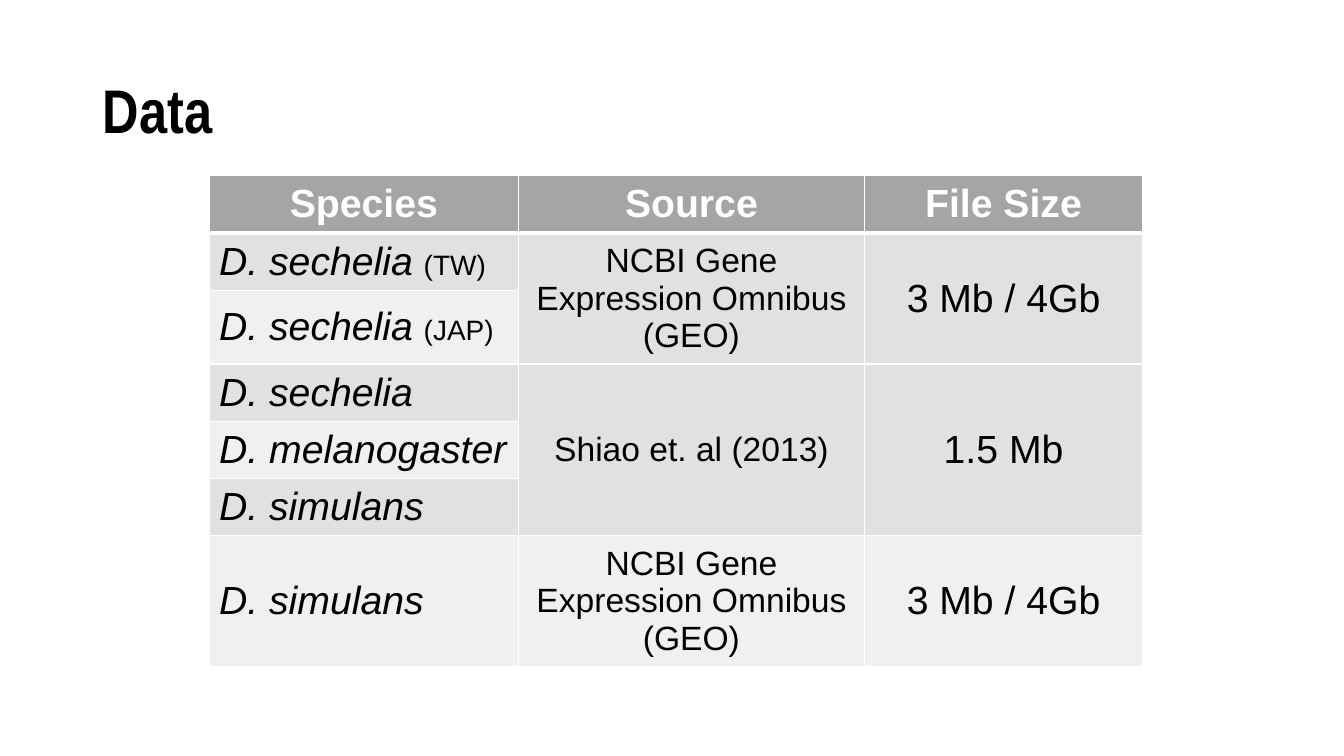
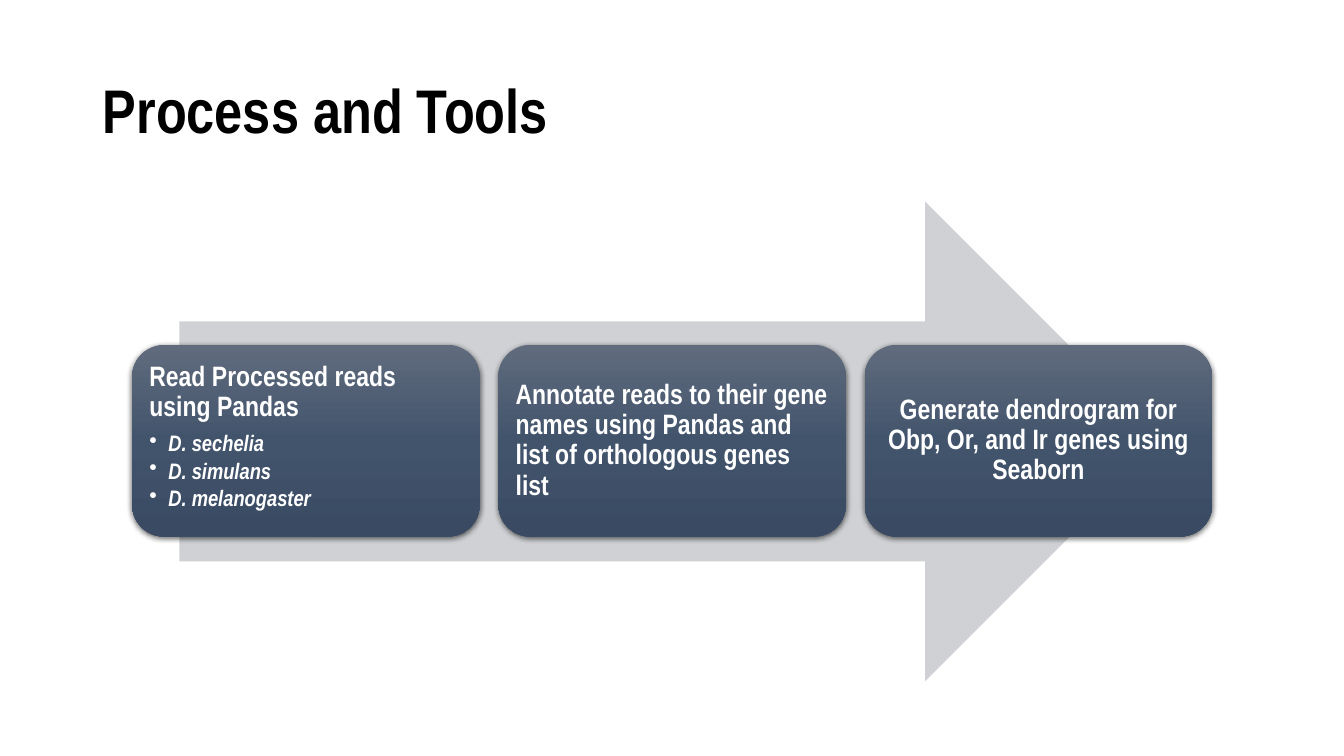
from dataclasses import dataclass
from typing import Optional

from lxml import etree
from pptx import Presentation
from pptx.dml.color import RGBColor
from pptx.enum.shapes import MSO_SHAPE
from pptx.enum.text import MSO_ANCHOR, PP_ALIGN
from pptx.oxml.ns import qn
from pptx.util import Cm, Pt

LEFT, CENTER = PP_ALIGN.LEFT, PP_ALIGN.CENTER
TOP, MIDDLE = MSO_ANCHOR.TOP, MSO_ANCHOR.MIDDLE
ARROW, ROUND_RECT = MSO_SHAPE.RIGHT_ARROW, MSO_SHAPE.ROUNDED_RECTANGLE

COLORS = {
    "text": "000000",
    "white": "FFFFFF",
    "header": "A5A5A5",
    "band_dark": "E1E1E1",
    "band_light": "F0F0F0",
    "arrow": "CFD1D4",
    "step_top": "606B7D",
    "step_mid": "42546C",
    "step_bottom": "394A62",
}
BODY_FONT = "Arial"
NARROW_FONT = "Arial Narrow"

COL_WIDTHS = (7.8, 8.71, 7.02)
ROW_HEIGHTS = (1.36, 1.36, 1.74, 1.36, 1.36, 1.36, 3.09)
STEP_LEFT, STEP_TOP, STEP_W, STEP_H, STEP_GAP = 3.33, 8.69, 8.76, 4.83, 0.47


@dataclass
class DataRow:
    species: str
    note: str = ""
    source: str = ""
    size: str = ""
    span: int = 1


@dataclass
class Step:
    text: str
    items: tuple[str, ...] = ()
    align: PP_ALIGN = LEFT
    anchor: MSO_ANCHOR = MIDDLE


HEADERS = ("Species", "Source", "File Size")
GEO = "NCBI Gene Expression Omnibus (GEO)"
ROWS = (
    DataRow("D. sechelia ", "(TW)", GEO, "3 Mb / 4Gb", 2),
    DataRow("D. sechelia ", "(JAP)"),
    DataRow("D. sechelia", "", "Shiao et. al (2013)", "1.5 Mb", 3),
    DataRow("D. melanogaster"),
    DataRow("D. simulans"),
    DataRow("D. simulans", "", GEO, "3 Mb / 4Gb"),
)
STEPS = (
    Step("Read Processed reads using Pandas",
         ("D. sechelia", "D. simulans", "D. melanogaster"), anchor=TOP),
    Step("Annotate reads to their gene names using Pandas and "
         "list of orthologous genes list"),
    Step("Generate dendrogram for Obp, Or, and Ir genes using Seaborn",
         align=CENTER),
)


def rgb(name: str) -> RGBColor:
    return RGBColor.from_string(COLORS[name])


def add_text(p, text: str, *, size: float, font: str = BODY_FONT,
             color: str = "text", bold: bool = False, italic: bool = False,
             align: PP_ALIGN = LEFT, line: Optional[float] = None,
             after: Optional[float] = None) -> None:
    p.alignment = align
    if line is not None:
        p.line_spacing = line
    if after is not None:
        p.space_after = Pt(after)
    r = p.add_run()
    r.text = text
    r.font.name, r.font.size = font, Pt(size)
    r.font.bold, r.font.italic = bold, italic
    r.font.color.rgb = rgb(color)


def add_bullet(p, indent: float) -> None:
    p.level = 1
    pPr = p._p.get_or_add_pPr()
    pPr.set("marL", str(Cm(indent)))
    pPr.set("indent", str(-Cm(indent)))
    etree.SubElement(pPr, qn("a:buChar"), char="•")


def add_color(parent, name: str):
    return etree.SubElement(parent, qn("a:srgbClr"), val=COLORS[name])


def add_slide(prs, title: str):
    s = prs.slides.add_slide(prs.slide_layouts[6])
    tf = s.shapes.add_textbox(Cm(2.34), Cm(1.02), Cm(29.21), Cm(3.68)).text_frame
    tf.word_wrap = True
    tf.vertical_anchor = MIDDLE
    add_text(tf.paragraphs[0], title, size=44, font=NARROW_FONT, bold=True, line=0.9)
    return s


def style_cell(cell, fill: str, bottom: float = 1, top: float = 1) -> None:
    cell.fill.solid()
    cell.fill.fore_color.rgb = rgb(fill)
    cell.vertical_anchor = MIDDLE
    tcPr = cell._tc.get_or_add_tcPr()
    widths = {"a:lnL": 1, "a:lnR": 1, "a:lnT": top, "a:lnB": bottom}
    for i, (tag, width) in enumerate(widths.items()):
        ln = etree.Element(qn(tag), w=str(Pt(width)))
        add_color(etree.SubElement(ln, qn("a:solidFill")), "white")
        tcPr.insert(i, ln)


def add_data_table(s) -> None:
    table = s.shapes.add_table(
        len(ROW_HEIGHTS), len(COL_WIDTHS), Cm(5.27), Cm(4.43),
        Cm(sum(COL_WIDTHS)), Cm(sum(ROW_HEIGHTS))).table
    table.horz_banding = False
    for col, width in zip(table.columns, COL_WIDTHS):
        col.width = Cm(width)
    for row, height in zip(table.rows, ROW_HEIGHTS):
        row.height = Cm(height)

    for c, header in enumerate(HEADERS):
        cell = table.cell(0, c)
        style_cell(cell, "header", bottom=3)
        add_text(cell.text_frame.paragraphs[0], header, size=28,
                 color="white", bold=True, align=CENTER)

    for i, row in enumerate(ROWS, 1):
        fill = "band_dark" if i % 2 else "band_light"
        for c in range(len(HEADERS)):
            style_cell(table.cell(i, c), fill, top=3 if i == 1 else 1)
        p = table.cell(i, 0).text_frame.paragraphs[0]
        add_text(p, row.species, size=28, italic=True)
        if row.note:
            add_text(p, row.note, size=20)
        for c, text, size in ((1, row.source, 24), (2, row.size, 28)):
            if not text:
                continue
            cell = table.cell(i, c)
            if row.span > 1:
                cell.merge(table.cell(i + row.span - 1, c))
            add_text(cell.text_frame.paragraphs[0], text, size=size, align=CENTER)


def add_shape(s, kind: MSO_SHAPE, x: float, y: float, w: float, h: float):
    sp = s.shapes.add_shape(kind, Cm(x), Cm(y), Cm(w), Cm(h))
    sp.shadow.inherit = False
    sp.line.fill.background()
    return sp


def shade_step(sp) -> None:
    sp.fill.gradient()
    sp.fill.gradient_angle = 270
    spPr = sp._element.spPr
    stops = spPr.find(qn("a:gradFill")).find(qn("a:gsLst"))
    for stop in list(stops):
        stops.remove(stop)
    for pos, name in ((0, "step_top"), (50, "step_mid"), (100, "step_bottom")):
        add_color(etree.SubElement(stops, qn("a:gs"), pos=str(pos * 1000)), name)
    shadow = etree.SubElement(
        spPr.find(qn("a:effectLst")), qn("a:outerShdw"), blurRad=str(Pt(4.5)),
        dist=str(Pt(1.5)), dir="5400000", algn="ctr", rotWithShape="0")
    etree.SubElement(add_color(shadow, "text"), qn("a:alpha"), val="63000")


def add_step(s, step: Step, x: float) -> None:
    sp = add_shape(s, ROUND_RECT, x, STEP_TOP, STEP_W, STEP_H)
    shade_step(sp)
    tf = sp.text_frame
    tf.word_wrap = True
    tf.vertical_anchor = step.anchor
    tf.margin_left = tf.margin_right = tf.margin_top = tf.margin_bottom = Cm(0.2)
    add_text(tf.paragraphs[0], step.text, size=20, font=NARROW_FONT, color="white",
             bold=True, align=step.align, line=0.9, after=7)
    for item in step.items:
        p = tf.add_paragraph()
        add_text(p, item, size=16, font=NARROW_FONT, color="white",
                 bold=True, italic=True, line=0.9, after=2.4)
        add_bullet(p, 0.48)


def add_process(s) -> None:
    arrow = add_shape(s, ARROW, 4.52, 5.08, 24.84, 12.09)
    arrow.fill.solid()
    arrow.fill.fore_color.rgb = rgb("arrow")
    for i, step in enumerate(STEPS):
        add_step(s, step, STEP_LEFT + i * (STEP_W + STEP_GAP))


def main() -> None:
    prs = Presentation()
    prs.slide_width, prs.slide_height = Cm(33.87), Cm(19.05)
    add_data_table(add_slide(prs, "Data"))
    add_process(add_slide(prs, "Process and Tools"))
    prs.save("out.pptx")


if __name__ == "__main__":
    main()
